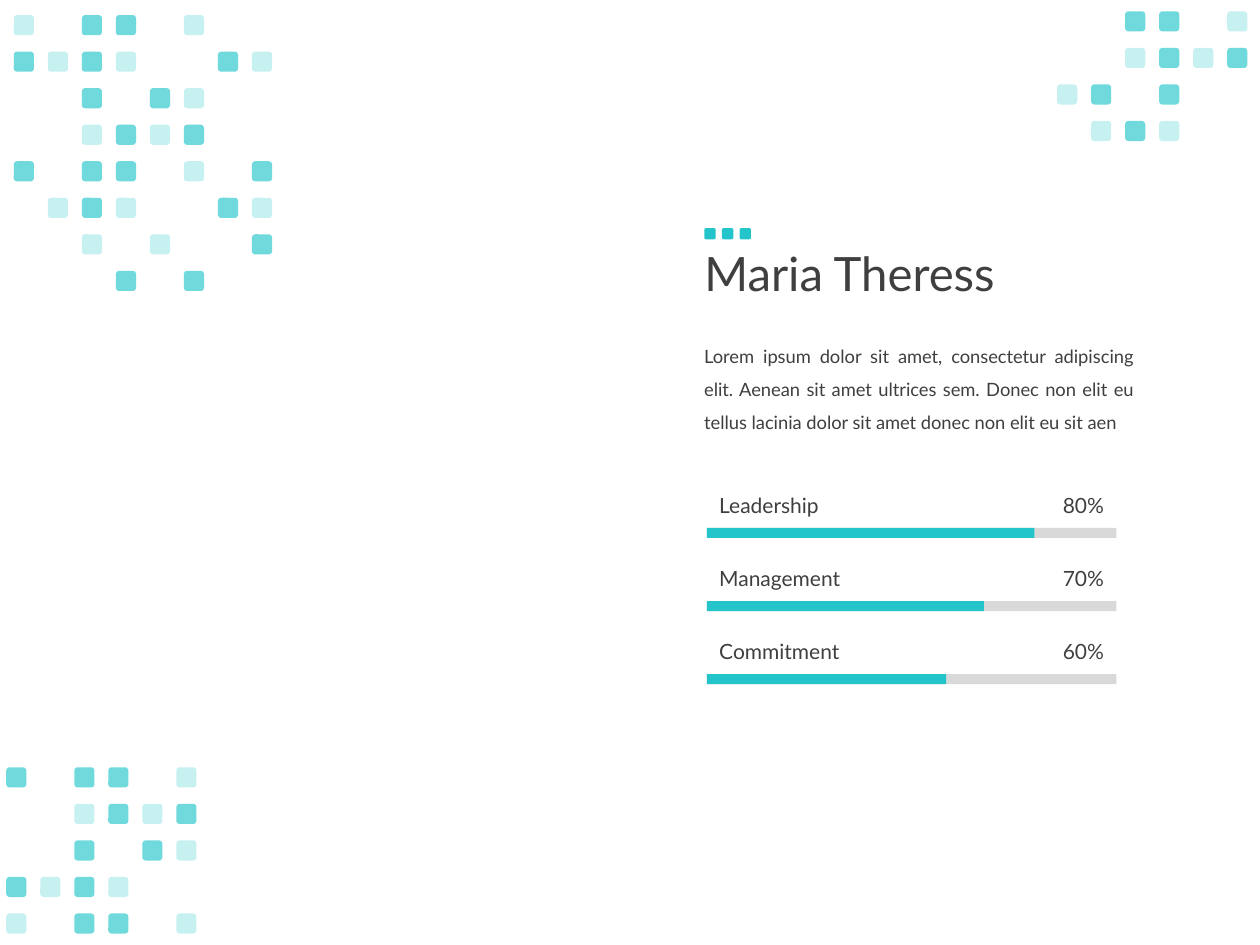
from pptx import Presentation
from pptx import util as u
from pptx.dml import color
from pptx.enum import shapes, text
from pptx.oxml import ns
from lxml import etree

COLORS = {"teal": "23C5CA", "track": "D9D9D9", "ink": "3F3F3F"}
OPACITY = {"l": 25, "d": 65}
PATTERNS = [
    (0.05, 6.09, ["d.dd.l", "..ldld", "..d.dl", "dldl", "l.dd.l"]),
    (0.11, 0.12, ["l.dd.l", "dldl..dl", "..d.dl", "..ldld",
                  "d.dd.l.d", ".ldl..dl", "..l.l..d", "...d.d"]),
    (8.39, 0.09, ["..dd.l", "..ldld", "ld.d", ".ldl"]),
]
COLUMN_STEP, ROW_STEP, TILE = 0.27, 0.29, 0.16
SKILLS = [("Leadership", "80%", 2.6), ("Management", "70%", 2.2), ("Commitment", "60%", 1.9)]
SKILL_LEFT, SKILL_TOP, SKILL_STEP, SKILL_WIDTH = 5.61, 3.86, 0.58, 3.25
BIOGRAPHY = (
    "Lorem ipsum dolor sit amet, consectetur adipiscing elit. Aenean sit amet "
    "ultrices sem. Donec non elit eu tellus lacinia dolor sit amet donec non "
    "elit eu sit aen"
)


def rgb(name):
    return color.RGBColor.from_string(COLORS[name])


def apply(target, values):
    for name, value in values.items():
        setattr(target, name, value)


class ProfileSlide:
    font = "Lato"

    def __init__(self, deck):
        self.page = deck.slides.add_slide(deck.slide_layouts[5])

    def set_words(self, box, words, size, align=text.PP_ALIGN.LEFT,
                  anchor=text.MSO_ANCHOR.MIDDLE, spacing=1.0):
        frame = box.text_frame
        apply(frame, {"word_wrap": True, "vertical_anchor": anchor,
                      "auto_size": text.MSO_AUTO_SIZE.NONE})
        para = frame.paragraphs[0]
        apply(para, {"alignment": align, "line_spacing": spacing})
        span = para.add_run()
        span.text = words
        apply(span.font, {"name": self.font, "size": u.Pt(size)})
        span.font.color.rgb = rgb("ink")

    def title(self, words, left, top, width, height):
        box = self.page.shapes.title
        apply(box, {"left": u.Inches(left), "top": u.Inches(top),
                    "width": u.Inches(width), "height": u.Inches(height)})
        self.set_words(box, words, 27, spacing=0.9)

    def label(self, words, left, top, width, height, **style):
        box = self.page.shapes.add_textbox(
            u.Inches(left), u.Inches(top), u.Inches(width), u.Inches(height))
        self.set_words(box, words, **style)

    def block(self, left, top, width, height, fill="teal", opacity=100,
              kind=shapes.MSO_SHAPE.RECTANGLE, parent=None):
        box = (parent or self.page).shapes.add_shape(
            kind, u.Inches(left), u.Inches(top), u.Inches(width), u.Inches(height))
        box.shadow.inherit = False
        box.fill.solid()
        box.fill.fore_color.rgb = rgb(fill)
        box.line.fill.background()
        if opacity < 100:
            tint = box.element.spPr.find(ns.qn("a:solidFill"))[0]
            etree.SubElement(tint, ns.qn("a:alpha"), val=str(opacity * 1000))

    def tile(self, group, left, top, size, opacity=100):
        self.block(left, top, size, size, opacity=opacity, parent=group,
                   kind=shapes.MSO_SHAPE.ROUNDED_RECTANGLE)

    def mosaic(self, left, top, rows):
        group = self.page.shapes.add_group_shape()
        for row, marks in enumerate(rows):
            for column, mark in enumerate(marks):
                if mark in OPACITY:
                    self.tile(group, left + column * COLUMN_STEP,
                              top + row * ROW_STEP, TILE, OPACITY[mark])

    def dots(self, left, top, size, step, count):
        group = self.page.shapes.add_group_shape()
        for index in range(count):
            self.tile(group, left + index * step, top, size)

    def skill(self, name, percent, done, top):
        bar_top = top + 0.33
        self.block(SKILL_LEFT, bar_top, SKILL_WIDTH, 0.08, fill="track")
        self.block(SKILL_LEFT, bar_top, done, 0.08)
        self.label(name, SKILL_LEFT, top, 1.55, 0.3, size=12)
        self.label(percent, SKILL_LEFT + SKILL_WIDTH - 0.79, top, 0.79, 0.3,
                   size=12, align=text.PP_ALIGN.RIGHT)


def main():
    deck = Presentation()
    apply(deck, {"slide_width": u.Inches(10), "slide_height": u.Inches(7.5)})
    profile = ProfileSlide(deck)
    for left, top, rows in PATTERNS:
        profile.mosaic(left, top, rows)
    profile.title("Maria Theress", 5.49, 1.47, 8.62, 1.45)
    profile.label(BIOGRAPHY, 5.49, 2.6, 3.61, 0.86, size=10.5, spacing=1.5,
                  align=text.PP_ALIGN.JUSTIFY, anchor=text.MSO_ANCHOR.TOP)
    for index, (name, percent, done) in enumerate(SKILLS):
        profile.skill(name, percent, done, SKILL_TOP + index * SKILL_STEP)
    profile.dots(5.59, 1.81, 0.09, 0.14, 3)
    deck.save("out.pptx")


if __name__ == "__main__":
    main()
